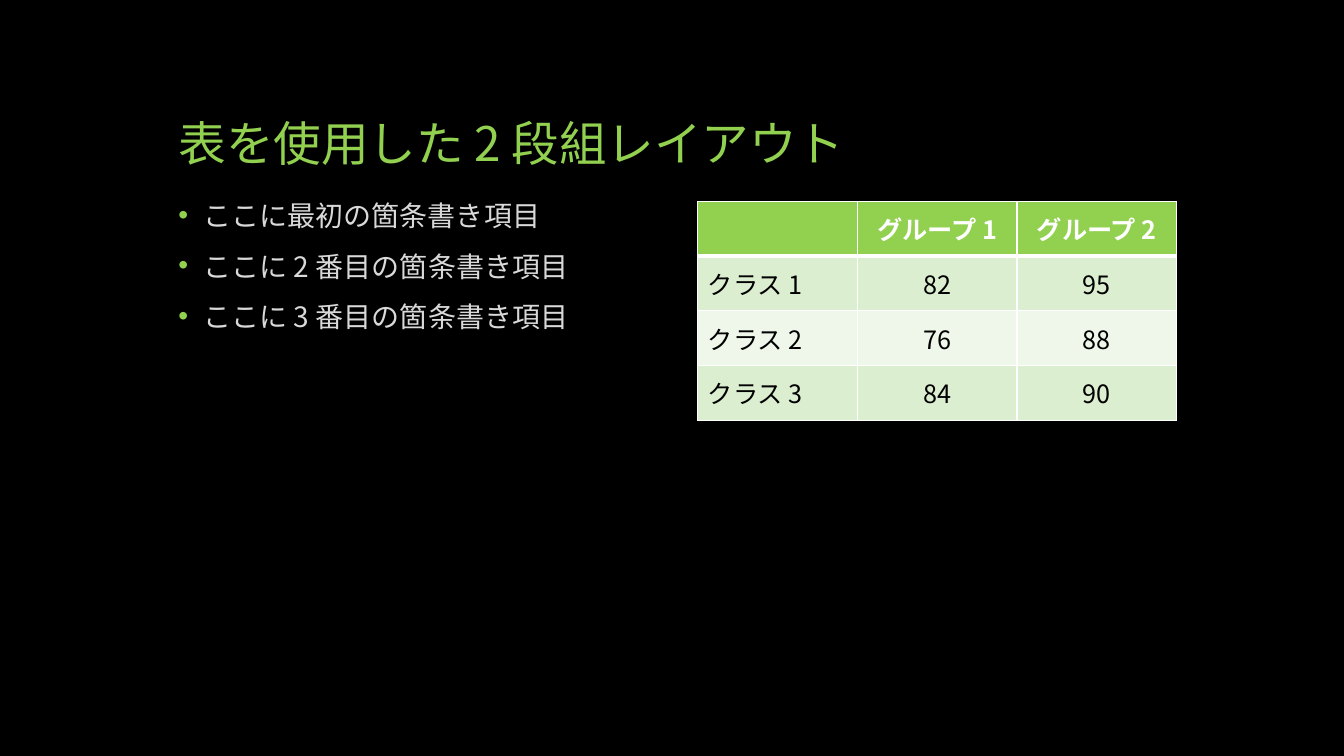
from lxml import etree
from pptx import Presentation
from pptx.dml.color import RGBColor
from pptx.enum.text import MSO_ANCHOR, MSO_AUTO_SIZE, PP_ALIGN
from pptx.oxml.ns import qn
from pptx.util import Inches, Pt

FONT = "Noto Sans CJK JP"
GREEN, WHITE, BLACK, GREY = "92D050", "FFFFFF", "000000", "D9D9D9"
BANDS = ("DCEED0", "EEF7E9")
BULLETS = (
    "ここに最初の箇条書き項目",
    "ここに 2 番目の箇条書き項目",
    "ここに 3 番目の箇条書き項目",
)
SCORES = (
    ("", "グループ 1", "グループ 2"),
    ("クラス 1", "82", "95"),
    ("クラス 2", "76", "88"),
    ("クラス 3", "84", "90"),
)


def color(value):
    return RGBColor.from_string(value)


def write(paragraph, text, size=18, fill=BLACK, bold=False,
          align=PP_ALIGN.LEFT, line_spacing=1.0, space_before=0):
    paragraph.alignment = align
    paragraph.line_spacing = line_spacing
    paragraph.space_before = Pt(space_before)
    run = paragraph.add_run()
    run.text = text
    run.font.size = Pt(size)
    run.font.bold = bold
    run.font.name = FONT
    run.font.color.rgb = color(fill)
    # East Asian text takes its typeface from its own element
    etree.SubElement(run._r.get_or_add_rPr(), qn("a:ea"), typeface=FONT)


def add_bullet(paragraph):
    properties = paragraph._p.get_or_add_pPr()
    properties.set("marL", str(Inches(0.25)))
    properties.set("indent", str(Inches(-0.25)))
    bullet_color = etree.SubElement(properties, qn("a:buClr"))
    etree.SubElement(bullet_color, qn("a:srgbClr"), val=GREEN)
    etree.SubElement(properties, qn("a:buFont"), typeface="Arial")
    etree.SubElement(properties, qn("a:buChar"), char="•")


def set_borders(cell, bottom_width):
    properties = cell._tc.get_or_add_tcPr()
    widths = {"a:lnL": 1, "a:lnR": 1, "a:lnT": 1, "a:lnB": bottom_width}
    for position, (tag, width) in enumerate(widths.items()):
        line = etree.Element(qn(tag), w=str(Pt(width)))
        fill = etree.SubElement(line, qn("a:solidFill"))
        etree.SubElement(fill, qn("a:srgbClr"), val=WHITE)
        properties.insert(position, line)


def add_title(slide, text):
    title = slide.shapes.title
    title.left, title.top = Inches(1.67), Inches(0.5)
    title.width, title.height = Inches(10), Inches(1.25)
    frame = title.text_frame
    frame.auto_size = MSO_AUTO_SIZE.NONE
    frame.vertical_anchor = MSO_ANCHOR.BOTTOM
    write(frame.paragraphs[0], text, size=34, fill=GREEN, line_spacing=0.9)


def add_bullet_list(slide, items):
    box = slide.shapes.add_textbox(
        Inches(1.67), Inches(2), Inches(4.75), Inches(4.67))
    frame = box.text_frame
    frame.word_wrap = True
    for index, item in enumerate(items):
        paragraph = frame.add_paragraph() if index else frame.paragraphs[0]
        write(paragraph, item, size=20, fill=GREY,
              line_spacing=0.75, space_before=18)
        add_bullet(paragraph)


def add_score_table(slide, rows):
    shape = slide.shapes.add_table(
        len(rows), len(rows[0]),
        Inches(6.92), Inches(2), Inches(4.75), Inches(2.17))
    table = shape.table
    for row_index, row in enumerate(rows):
        header = row_index == 0
        for column_index, text in enumerate(row):
            cell = table.cell(row_index, column_index)
            cell.vertical_anchor = MSO_ANCHOR.MIDDLE
            cell.fill.solid()
            cell.fill.fore_color.rgb = color(
                GREEN if header else BANDS[(row_index - 1) % 2])
            set_borders(cell, bottom_width=3 if header else 1)
            if text:
                write(cell.text_frame.paragraphs[0], text,
                      fill=WHITE if header else BLACK, bold=header,
                      align=PP_ALIGN.CENTER if column_index else PP_ALIGN.LEFT)


def main():
    presentation = Presentation()
    presentation.slide_width = Inches(13.33)
    presentation.slide_height = Inches(7.5)
    slide = presentation.slides.add_slide(presentation.slide_layouts[5])

    # Background
    slide.background.fill.solid()
    slide.background.fill.fore_color.rgb = color(BLACK)

    # Title and the two columns
    add_title(slide, "表を使用した 2 段組レイアウト")
    add_bullet_list(slide, BULLETS)
    add_score_table(slide, SCORES)

    presentation.save("out.pptx")


if __name__ == "__main__":
    main()
